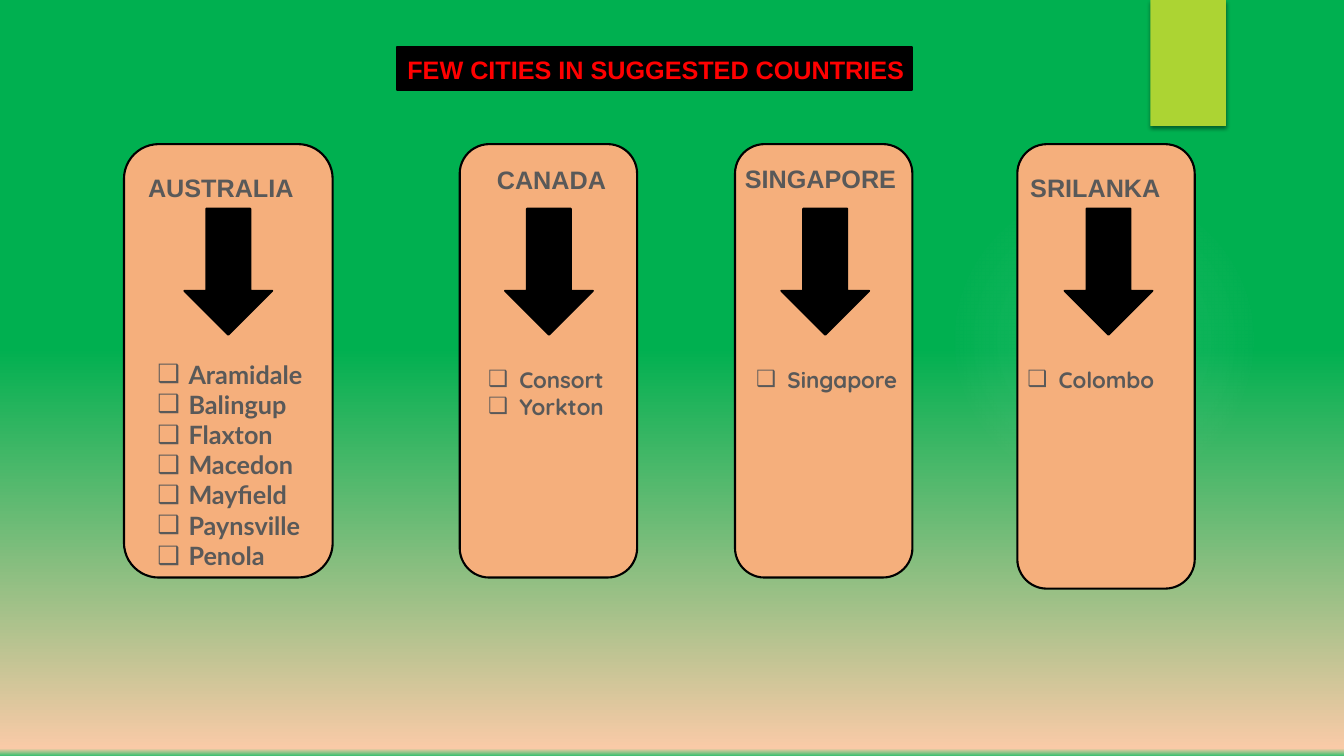
from pptx import Presentation
from pptx.dml.color import RGBColor
from pptx.enum.shapes import MSO_SHAPE
from pptx.enum.text import MSO_ANCHOR, MSO_AUTO_SIZE, PP_ALIGN
from pptx.oxml import parse_xml
from pptx.oxml.ns import nsdecls, qn
from pptx.util import Emu, Pt

TITLE = "FEW CITIES IN SUGGESTED COUNTRIES"
# name, card (left, width, height), label (left, top, width), arrow left,
# list (left, top, width, height), list font, list size, cities
LANDS = [
    ("AUSTRALIA", (123, 207, 430), (137, 166, 193), 183,
     (146, 351, 184, 222), "Lato", 18,
     ["Aramidale", "Balingup", "Flaxton", "Macedon", "Mayfield",
      "Paynsville", "Penola"]),
    ("CANADA", (456, 176, 430), (483, 158, 134), 501,
     (474, 358, 155, 64), "Quicksand", 16, ["Consort", "Yorkton"]),
    ("SINGAPORE", (729, 176, 430), (729, 157, 176), 775,
     (740, 358, 166, 37), "Quicksand", 16, ["Singapore"]),
    ("SRILANKA", (1009, 176, 441), (1012, 166, 176), 1056,
     (1009, 358, 166, 37), "Quicksand", 16, ["Colombo"]),
]
HEX = {"black": "000000", "red": "FF0000", "grey": "595959",
       "peach": "F5AF7C", "lime": "ACD433", "green": "00B050",
       "cream": "F9CAA7", "mint": "37BF6E", "mist": "F7F7F7"}
CARD_TOP, ARROW_TOP, LABEL_H, INDENT = 143, 207, 40, 31
PX = 9144  # 100 px to the inch


def px(*nums):
    return [Emu(n * PX) for n in nums]


def rgb(name):
    return RGBColor.from_string(HEX[name])


def grad(stops, shade):
    """Gradient fill from (percent, colour, opacity percent) stops."""
    marks = "".join(
        f'<a:gs pos="{pos * 1000}"><a:srgbClr val="{HEX[name]}">'
        f'<a:alpha val="{alpha * 1000}"/></a:srgbClr></a:gs>'
        for pos, name, alpha in stops)
    return (f'<a:gradFill {nsdecls("a")} rotWithShape="1">'
            f'<a:gsLst>{marks}</a:gsLst>{shade}</a:gradFill>')


def add_block(kind, box, fill=None, line=None):
    block = slide.shapes.add_shape(kind, *px(*box))
    block.shadow.inherit = False
    if fill:
        block.fill.solid()
        block.fill.fore_color.rgb = rgb(fill)
    else:
        block.fill.background()
    if line:
        block.line.color.rgb = rgb(line)
        block.line.width = Pt(1.5)
    else:
        block.line.fill.background()
    return block


def place(holder, box):
    """Move a placeholder to its box, in front of all shapes so far."""
    holder.left, holder.top, holder.width, holder.height = px(*box)
    slide.shapes.element.append(holder.element)


def write(shape, lines, face, size, color, bullet=None):
    frame = shape.text_frame
    frame.word_wrap = True
    frame.auto_size = MSO_AUTO_SIZE.NONE
    frame.vertical_anchor = MSO_ANCHOR.TOP
    frame.text = "\n".join(lines)
    for par in frame.paragraphs:
        par.alignment = PP_ALIGN.LEFT
        par.space_before = Pt(0)
        if bullet:
            props = par._p.get_or_add_pPr()
            props.set("marL", str(INDENT * PX))
            props.set("indent", str(-INDENT * PX))
            props.append(parse_xml(
                f'<a:buChar {nsdecls("a")} char="{bullet}"/>'))
        font = par.font
        font.name, font.size, font.bold = face, Pt(size), True
        font.color.rgb = rgb(color)


deck = Presentation()
deck.slide_width, deck.slide_height = px(1333, 750)
slide = deck.slides.add_slide(deck.slide_layouts.get_by_name("Comparison"))
title, *lists = list(slide.placeholders)

sky = grad([(46, "green", 100), (99, "cream", 100), (100, "mint", 100)],
           '<a:lin ang="5400000" scaled="0"/>')
slide.element.cSld.insert(0, parse_xml(
    f'<p:bg {nsdecls("p", "a")}><p:bgPr>{sky}<a:effectLst/></p:bgPr></p:bg>'))

glow = add_block(MSO_SHAPE.OVAL, (941, 183, 308, 308)).element.spPr
glow.replace(glow.find(qn("a:noFill")), parse_xml(grad(
    [(0, "mist", 7), (36, "mist", 6), (69, "mist", 0)],
    '<a:path path="circle">'
    '<a:fillToRect l="50000" t="50000" r="50000" b="50000"/></a:path>')))

tab = add_block(MSO_SHAPE.RECTANGLE, (1141, 0, 75, 125), "lime")
tab.element.spPr.find(qn("a:effectLst")).append(parse_xml(
    f'<a:outerShdw {nsdecls("a")} blurRad="{Pt(3)}" dist="{Pt(2)}" '
    f'dir="5400000"><a:srgbClr val="{HEX["black"]}">'
    '<a:alpha val="45000"/></a:srgbClr></a:outerShdw>'))

add_block(MSO_SHAPE.RECTANGLE, (394, 47, 511, 42), "black", "black")
place(title, (394, 49, 551, 40))
write(title, [TITLE], "Arial", 18, "red")

for land, body in zip(LANDS, lists):
    name, (left, width, height), tag, arrow, box, face, size, cities = land
    add_block(MSO_SHAPE.ROUNDED_RECTANGLE, (left, CARD_TOP, width, height),
              "peach", "black")
    label = slide.shapes.add_textbox(*px(*tag, LABEL_H))
    write(label, [name], "Arial", 18, "grey")
    add_block(MSO_SHAPE.DOWN_ARROW, (arrow, ARROW_TOP, 87, 125),
              "black", "black")
    place(body, box)
    write(body, cities, face, size, "grey", "❑")

deck.save("out.pptx")
